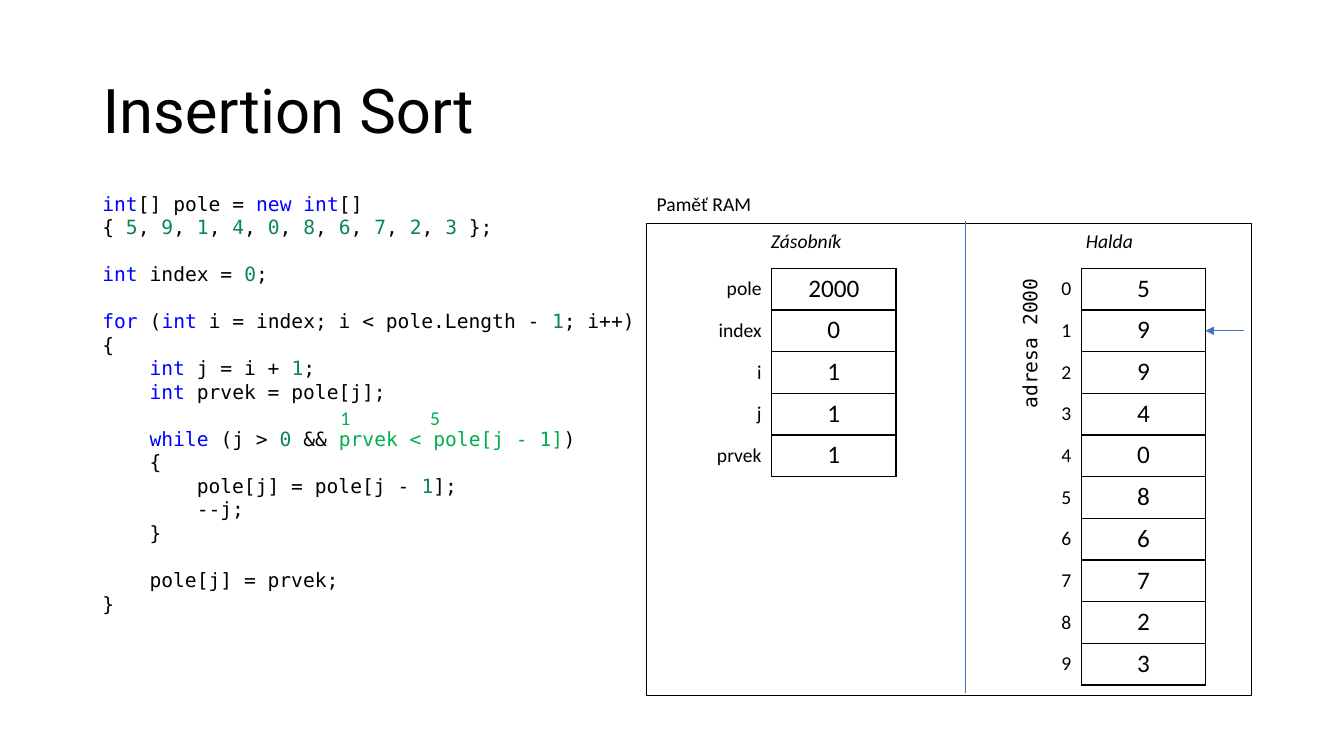
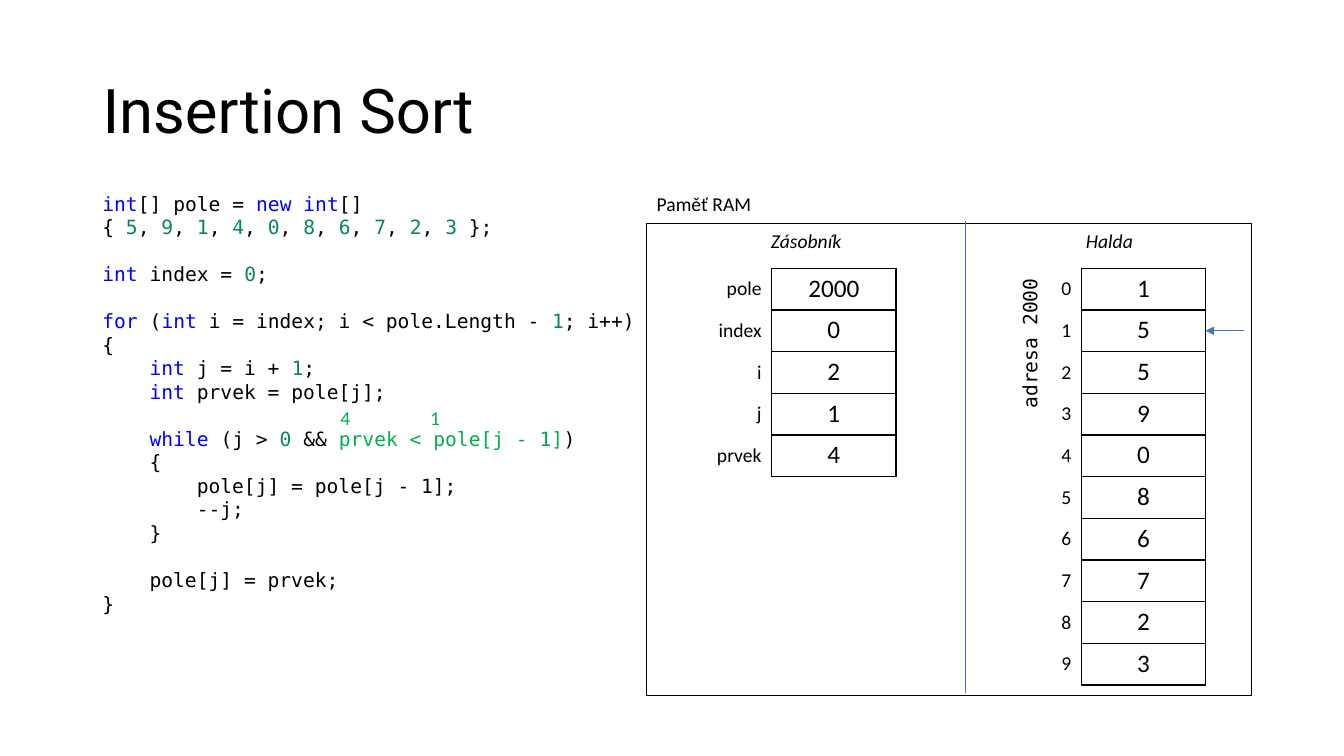
from lxml import etree
from pptx import Presentation
from pptx import util as u
from pptx.dml.color import RGBColor
from pptx.enum import shapes, text
from pptx.oxml.ns import qn

Cm, Pt = u.Cm, u.Pt
ALIGN = text.PP_ALIGN

COLORS = {
    "text": "000000",
    "paper": "FFFFFF",
    "keyword": "0000FF",
    "number": "098658",
    "condition": "00B050",
    "line": "4472C4",
}
TITLE_FONT, BODY_FONT, CODE_FONT = "Roboto", "Calibri", "DejaVu Sans Mono"

# Lengths in centimetres: left, top, width, height
TITLE_BOX = (2.33, 1.02, 29.21, 3.68)
CODE_BOX = (2.33, 4.7, 13.97, 11.02)
RAM_BOX = (16.3, 5.64, 15.24, 11.89)
LABEL_HEIGHT = 0.87
ROW_HEIGHT = 1.05
VALUE_WIDTH = 3.13
INDENT = 1.19
CODE_LINE = 16.8  # points

KEYWORDS = {"int", "new int", "for", "while"}
CONDITION = "prvek < pole[j - 1]"
VARIABLES = ("pole", "index", "i", "j", "prvek")
START_VALUES = (5, 9, 1, 4, 0, 8, 6, 7, 2, 3)

# Indent level, blank line above, code with coloured parts between backticks
CODE = [
    (0, False, "`int`[] pole = `new int`[]"),
    (0, False, "{ " + ", ".join(f"`{value}`" for value in START_VALUES) + " };"),
    (0, True, "`int` index = `0`;"),
    (0, True, "`for` (`int` i = index; i < pole.Length - `1`; i++)"),
    (0, False, "{"),
    (1, False, "`int` j = i + `1`;"),
    (1, False, "`int` prvek = pole[j];"),
    (1, True, f"`while` (j > `0` && `{CONDITION}`)"),
    (1, False, "{"),
    (2, False, "pole[j] = pole[j - SHIFT];"),
    (2, False, "--j;"),
    (1, False, "}"),
    (1, True, "pole[j] = prvek;"),
    (0, False, "}"),
]

STEPS = [
    {"stack": (2000, 0, 1, 1, 1), "heap": (5, 9, 9, 4, 0, 8, 6, 7, 2, 3),
     "compared": (1, 5), "shift": "`1`"},
    {"stack": (2000, 0, 2, 1, 4), "heap": (1, 5, 5, 9, 0, 8, 6, 7, 2, 3),
     "compared": (4, 1), "shift": "1"},
]


def rgb(name):
    return RGBColor.from_string(COLORS[name])


def write(paragraph, content, *, font=BODY_FONT, size=14, color="text",
          italic=None, align=None):
    run = paragraph.add_run()
    run.text = str(content)
    run.font.name, run.font.size, run.font.italic = font, Pt(size), italic
    run.font.color.rgb = rgb(color)
    if align is not None:
        paragraph.alignment = align


def add_frame(slide, box, rotation=0):
    """Add a wrapping text box and return its text frame."""
    holder = slide.shapes.add_textbox(*map(Cm, box))
    holder.rotation = rotation
    holder.text_frame.word_wrap = True
    return holder.text_frame


def add_label(slide, box, content, rotation=0, **style):
    write(add_frame(slide, box, rotation).paragraphs[0], content, **style)


def add_line(slide, start, end, arrow=False):
    connector = slide.shapes.add_connector(
        shapes.MSO_CONNECTOR.STRAIGHT, *map(Cm, (*start, *end)))
    connector.line.color.rgb = rgb("line")
    connector.line.width = Pt(0.5)
    properties = connector.element.spPr
    if arrow:
        etree.SubElement(properties.find(qn("a:ln")), qn("a:tailEnd"), type="triangle")
    etree.SubElement(properties, qn("a:effectLst"))


def set_borders(cell, visible):
    """Draw the named sides (letters of LRTB) and hide the others."""
    properties = cell._tc.get_or_add_tcPr()
    for side in "LRTB":
        border = etree.SubElement(properties, qn(f"a:ln{side}"), w=str(Pt(1)))
        if side in visible:
            fill = etree.SubElement(border, qn("a:solidFill"))
            etree.SubElement(fill, qn("a:srgbClr"), val=COLORS["text"])
        else:
            etree.SubElement(border, qn("a:noFill"))
    cell.fill.background()


def add_memory(slide, left, top, label_width, labels, values):
    """Add a column of framed values with their labels on the left."""
    table = slide.shapes.add_table(
        len(values), 2, Cm(left), Cm(top), Cm(label_width + VALUE_WIDTH),
        Cm(ROW_HEIGHT * len(values))).table
    table.first_row = table.horz_banding = False
    for column, width in zip(table.columns, (label_width, VALUE_WIDTH)):
        column.width = Cm(width)
    for row, label, value in zip(table.rows, labels, values):
        row.height = Cm(ROW_HEIGHT)
        name_cell, value_cell = row.cells
        name_cell.vertical_anchor = text.MSO_ANCHOR.MIDDLE
        write(name_cell.text_frame.paragraphs[0], label, align=ALIGN.RIGHT)
        write(value_cell.text_frame.paragraphs[0], value, size=18, align=ALIGN.CENTER)
        set_borders(name_cell, "R")
        set_borders(value_cell, "LRTB")


def add_title(slide, content):
    title = slide.shapes.title
    title.left, title.top, title.width, title.height = map(Cm, TITLE_BOX)
    frame = title.text_frame
    frame.auto_size = text.MSO_AUTO_SIZE.NONE
    frame.vertical_anchor = text.MSO_ANCHOR.MIDDLE
    frame.paragraphs[0].line_spacing = 0.9
    write(frame.paragraphs[0], content, font=TITLE_FONT, size=44, align=ALIGN.LEFT)


def code_color(part):
    if part in KEYWORDS:
        return "keyword"
    if part == CONDITION:
        return "condition"
    return "number" if part.isdigit() else "text"


def add_code(slide, box, shift, compared):
    """Add the listing and the compared values above its condition."""
    left, top = box[:2]
    frame = add_frame(slide, box)
    for number, (level, blank_above, line) in enumerate(CODE):
        paragraph = frame.add_paragraph() if number else frame.paragraphs[0]
        paragraph._p.get_or_add_pPr().set("marL", str(Cm(INDENT * level)))
        if blank_above:
            paragraph.space_before = Pt(CODE_LINE)
        for part in line.replace("SHIFT", shift).split("`"):
            if part:
                write(paragraph, part, font=CODE_FONT, color=code_color(part))
    for offset, value in zip((6, 8.26), compared):
        add_label(slide, (left + offset, top + 5.41, 1.07, LABEL_HEIGHT), value,
                  color="condition")


def add_ram(slide, box, stack, heap):
    """Add the memory frame with the stack on the left and the heap on the right."""
    left, top, width, height = box
    divider = left + 8.03
    tables_top = top + 1.12
    heap_left, index_width = left + 10.14, 0.81

    border = slide.shapes.add_shape(shapes.MSO_SHAPE.RECTANGLE, *map(Cm, box))
    border.shadow.inherit = False
    border.fill.solid()
    border.fill.fore_color.rgb = rgb("paper")
    border.line.color.rgb = rgb("text")
    border.line.width = Pt(1)

    add_label(slide, (left, top - 0.94, width, LABEL_HEIGHT), "Paměť RAM")
    add_line(slide, (divider, top + height - 0.08), (divider, top - 0.08))
    for start, end, heading in ((left, divider, "Zásobník"),
                                (divider + 0.05, left + width, "Halda")):
        add_label(slide, (start, top, end - start, LABEL_HEIGHT), heading,
                  italic=True, align=ALIGN.CENTER)
    add_label(slide, (left + 6.36, top + 3.99, 6.6, LABEL_HEIGHT), "adresa 2000",
              rotation=270, font=CODE_FONT, align=ALIGN.RIGHT)

    add_memory(slide, heap_left, tables_top, index_width, range(len(heap)), heap)
    add_memory(slide, left + 0.64, tables_top, 2.51, VARIABLES, stack)
    arrow_tip = heap_left + index_width + VALUE_WIDTH
    arrow_y = tables_top + 1.5 * ROW_HEIGHT
    add_line(slide, (arrow_tip + 0.96, arrow_y), (arrow_tip, arrow_y), arrow=True)


def add_step(deck, step):
    slide = deck.slides.add_slide(deck.slide_layouts[5])
    add_title(slide, "Insertion Sort")
    add_ram(slide, RAM_BOX, step["stack"], step["heap"])
    add_code(slide, CODE_BOX, step["shift"], step["compared"])


def main():
    deck = Presentation()
    deck.slide_width, deck.slide_height = Cm(33.87), Cm(19.05)
    for step in STEPS:
        add_step(deck, step)
    deck.save("out.pptx")


if __name__ == "__main__":
    main()
